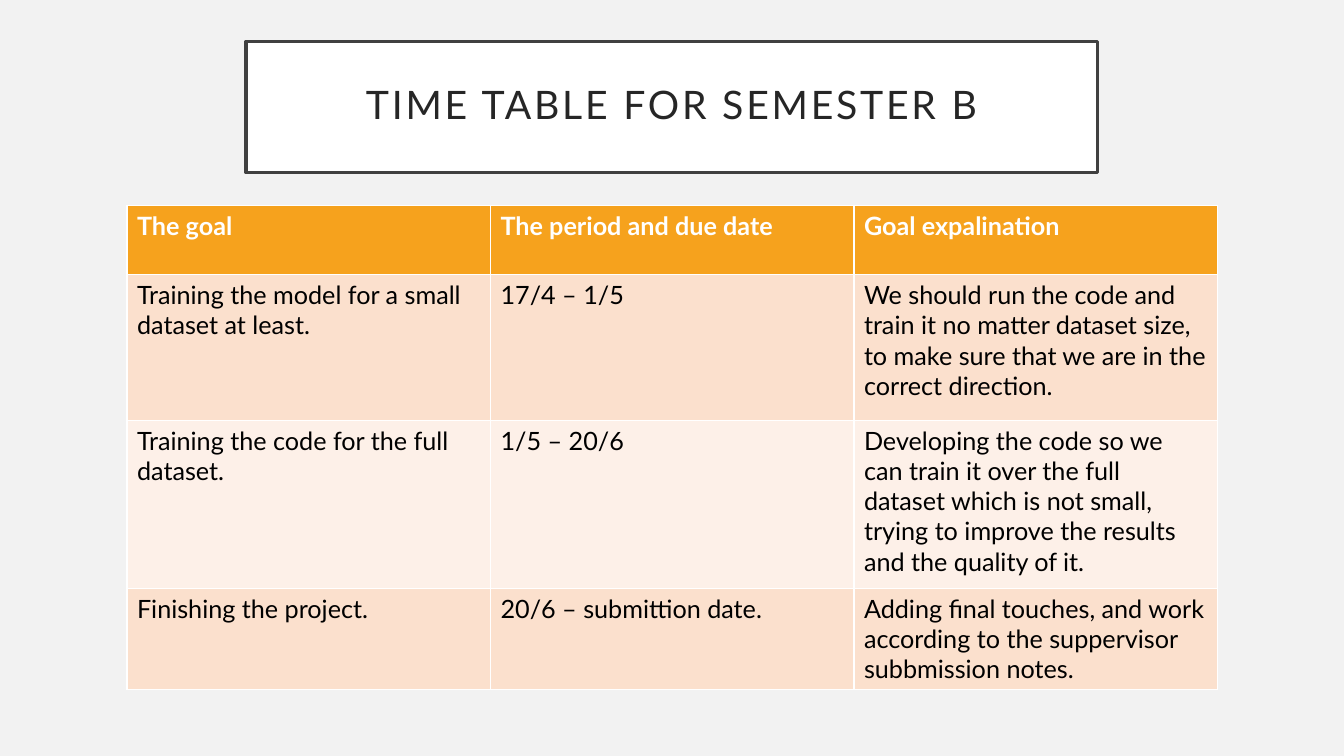
from dataclasses import dataclass

from lxml.etree import SubElement
from pptx import Presentation
from pptx.dml.color import RGBColor as RGB
from pptx.enum.shapes import MSO_SHAPE as SHAPE
from pptx.enum.text import MSO_ANCHOR as ANCHOR, PP_ALIGN as ALIGN
from pptx.oxml.ns import qn
from pptx.util import Cm, Pt


@dataclass(frozen=True)
class Theme:
    font: str = "Lato"
    background: str = "F2F2F2"
    white: str = "FFFFFF"
    frame: str = "404040"
    title: str = "262626"
    body: str = "000000"
    header: str = "F6A21D"
    bands: tuple = ("FBE0CD", "FDF0E8")
    title_size: int = 28
    table_size: int = 18
    frame_width: float = 2.5
    border_width: float = 1


class SlideBuilder:
    def __init__(self, slide, theme):
        self.s, self.theme = slide, theme
        self.fill(slide.background, theme.background)

    def fill(self, item, color):
        item.fill.solid()
        item.fill.fore_color.rgb = RGB.from_string(color)

    def style(self, p, size, color, bold=False):
        p.font.name, p.font.size, p.font.bold = self.theme.font, Pt(size), bold
        p.font.color.rgb = RGB.from_string(color)

    def title_box(self, text, left, top, width, height):
        t = self.theme
        sp = self.s.shapes.add_shape(SHAPE.RECTANGLE, Cm(left), Cm(top), Cm(width), Cm(height))
        sp.shadow.inherit = False
        self.fill(sp, t.white)
        sp.line.color.rgb = RGB.from_string(t.frame)
        sp.line.width = Pt(t.frame_width)
        tf = sp.text_frame
        tf.word_wrap = True
        tf.vertical_anchor = ANCHOR.MIDDLE
        tf.margin_left = tf.margin_right = tf.margin_top = tf.margin_bottom = Cm(0.5)
        p = tf.paragraphs[0]
        p.alignment, p.line_spacing = ALIGN.CENTER, 0.9
        r = p.add_run()
        r.text = text
        self.style(p, t.title_size, t.title)
        r.font.size = Pt(t.title_size)
        r._r.get_or_add_rPr().set("spc", "200")  # letter spacing, 2 pt

    def borders(self, cell):
        tc_pr = cell._tc.get_or_add_tcPr()
        for i, side in enumerate(("lnL", "lnR", "lnT", "lnB")):
            ln = SubElement(tc_pr, qn(f"a:{side}"), w=str(Pt(self.theme.border_width)))
            SubElement(SubElement(ln, qn("a:solidFill")), qn("a:srgbClr"), val=self.theme.white)
            tc_pr.insert(i, ln)  # borders must precede the fill

    def table(self, rows, left, top, width, heights):
        t = self.theme
        table = self.s.shapes.add_table(len(rows), len(rows[0]), Cm(left), Cm(top),
                                        Cm(width), Cm(sum(heights))).table
        for i, (texts, height) in enumerate(zip(rows, heights)):
            table.rows[i].height = Cm(height)
            header = i == 0
            for j, text in enumerate(texts):
                cell = table.cell(i, j)
                cell.text = text
                self.fill(cell, t.header if header else t.bands[(i - 1) % 2])
                self.style(cell.text_frame.paragraphs[0], t.table_size,
                           t.white if header else t.body, header)
                self.borders(cell)


prs = Presentation()
prs.slide_width, prs.slide_height = Cm(33.87), Cm(19.05)
slide = SlideBuilder(prs.slides.add_slide(prs.slide_layouts[6]), Theme())

# Title
slide.title_box("TIME TABLE FOR SEMESTER B", 6.2, 1.05, 21.46, 3.3)

# Semester plan
PLAN = [
    ("The goal", "The period and due date", "Goal expalination"),
    ("Training the model for a small dataset at least.", "17/4 – 1/5",
     "We should run the code and train it no matter dataset size, "
     "to make sure that we are in the correct direction."),
    ("Training the code for the full dataset.", "1/5 – 20/6",
     "Developing the code so we can train it over the full dataset which is not small, "
     "trying to improve the results and the quality of it."),
    ("Finishing the project.", "20/6 – submittion date.",
     "Adding final touches, and work according to the suppervisor subbmission notes."),
]
slide.table(PLAN, 3.2, 5.17, 27.48, (1.75, 3.67, 4.24, 2.55))

prs.save("out.pptx")
